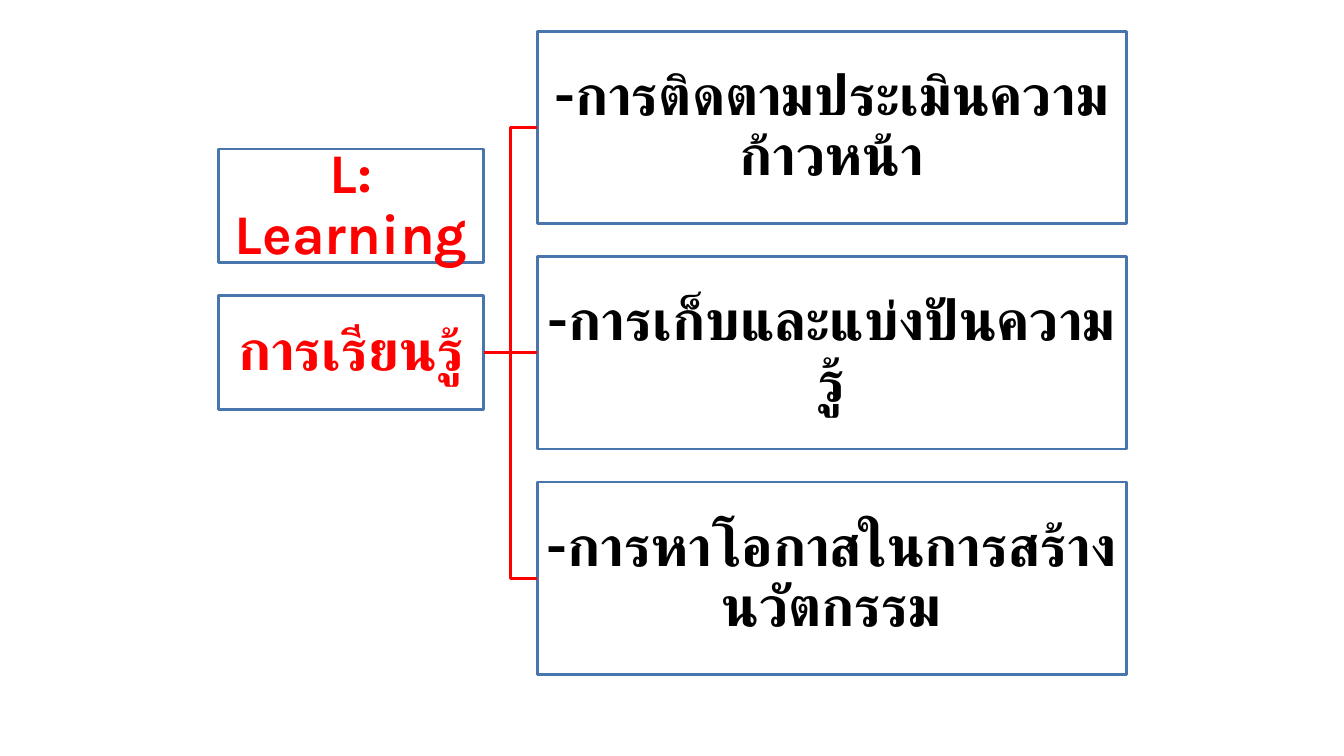
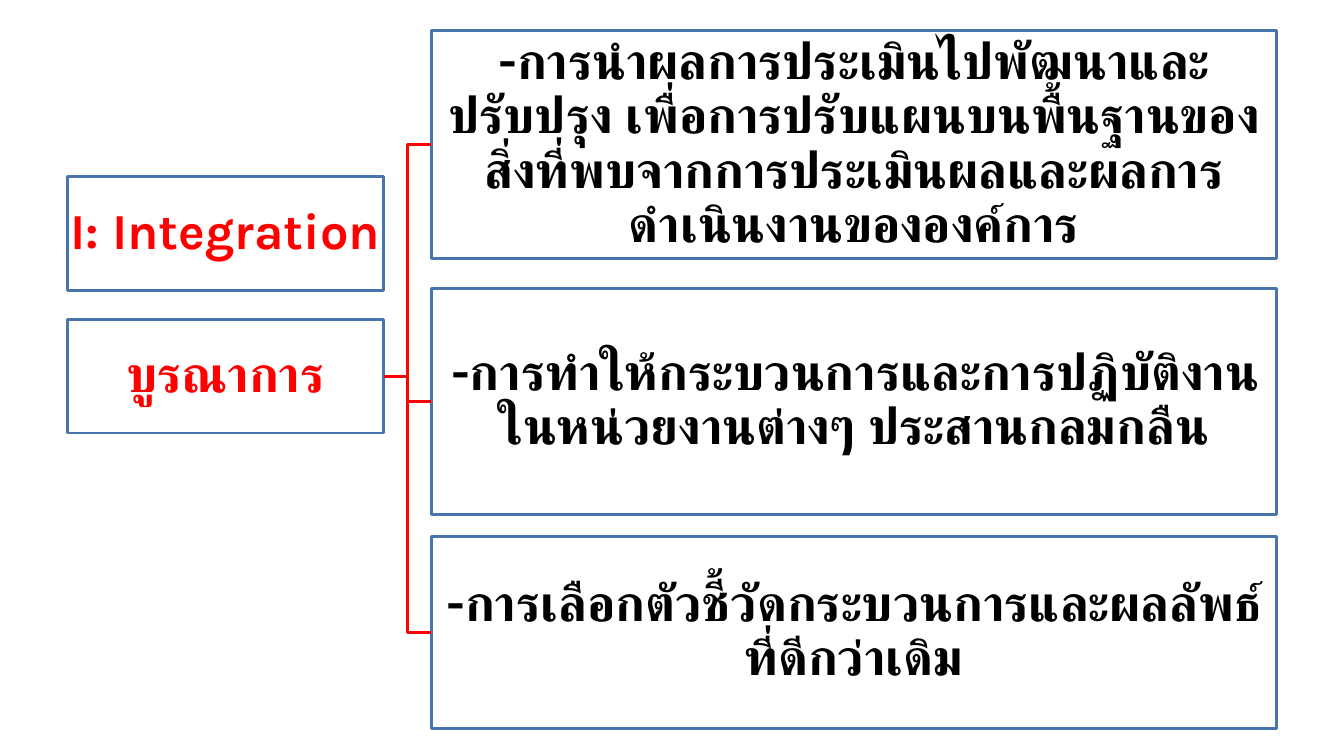
"""Build two slides that branch a learning and an integration heading into their practices."""
from dataclasses import dataclass

from lxml import etree
from pptx import Presentation
from pptx.dml.color import RGBColor
from pptx.enum.lang import MSO_LANGUAGE_ID
from pptx.enum.shapes import MSO_CONNECTOR, MSO_SHAPE
from pptx.enum.text import MSO_ANCHOR, PP_ALIGN
from pptx.oxml.ns import qn
from pptx.util import Pt


@dataclass(frozen=True)
class Theme:
    font: str = "Karla"
    paper: RGBColor = RGBColor(0xFF, 0xFF, 0xFF)
    border: RGBColor = RGBColor(0x48, 0x75, 0xAC)
    accent: RGBColor = RGBColor(0xFF, 0x00, 0x00)
    ink: RGBColor = RGBColor(0x00, 0x00, 0x00)
    large: int = 40
    medium: int = 36
    stroke: int = 2
    inset: int = 2


THEME = Theme()
HEADING_HEIGHT = 81.4
RIGHT_SITE, LEFT_SITE = 3, 1

SLIDES = [
    {
        "size": THEME.large,
        "heading_left": 156.2,
        "heading_width": 189.4,
        "headings": [(106.4, "L: Learning"), (211.3, "การเรียนรู้")],
        "practice_left": 383.8,
        "practice_width": 420.6,
        "practices": [
            (22.25, 137.5, "-การติดตามประเมินความก้าวหน้า"),
            (183.25, 137.5, "-การเก็บและแบ่งปันความรู้"),
            (344.25, 137.5, "-การหาโอกาสในการสร้างนวัตกรรม"),
        ],
    },
    {
        "size": THEME.medium,
        "heading_left": 48,
        "heading_width": 226,
        "headings": [(126, "I: Integration"), (228, "บูรณาการ")],
        "practice_left": 308,
        "practice_width": 604,
        "practices": [
            (21.6, 163.4, "-การนำผลการประเมินไปพัฒนาและปรับปรุง เพื่อการปรับแผนบนพื้นฐานของ"
                          "สิ่งที่พบจากการประเมินผลและผลการดำเนินงานขององค์การ"),
            (206, 161.4, "-การทำให้กระบวนการและการปฏิบัติงานในหน่วยงานต่างๆ ประสานกลมกลืน"),
            (383, 137.5, "-การเลือกตัวชี้วัดกระบวนการและผลลัพธ์ที่ดีกว่าเดิม"),
        ],
    },
]


def add_box(page, left, top, width, height, text, size, color):
    box = page.shapes.add_shape(MSO_SHAPE.RECTANGLE, Pt(left), Pt(top), Pt(width), Pt(height))
    box.shadow.inherit = False
    box.fill.solid()
    box.fill.fore_color.rgb = THEME.paper
    box.line.color.rgb = THEME.border
    box.line.width = Pt(THEME.stroke)
    frame = box.text_frame
    frame_format = {"word_wrap": True, "vertical_anchor": MSO_ANCHOR.MIDDLE}
    for side in ("left", "top", "right", "bottom"):
        frame_format[f"margin_{side}"] = Pt(THEME.inset)
    for name, value in frame_format.items():
        setattr(frame, name, value)
    para = frame.paragraphs[0]
    para.alignment = PP_ALIGN.CENTER
    para.line_spacing = 0.9
    span = para.add_run()
    span.text = text
    span_format = {
        "name": THEME.font,
        "size": Pt(size),
        "bold": True,
        "language_id": MSO_LANGUAGE_ID.THAI,
    }
    for name, value in span_format.items():
        setattr(span.font, name, value)
    span.font.color.rgb = color
    etree.SubElement(span._r.get_or_add_rPr(), qn("a:cs"), typeface=THEME.font)
    return box


def add_branch(page, heading, practice):
    branch = page.shapes.add_connector(MSO_CONNECTOR.ELBOW, 0, 0, 0, 0)
    branch.begin_connect(heading, RIGHT_SITE)
    branch.end_connect(practice, LEFT_SITE)
    branch.line.color.rgb = THEME.accent
    branch.line.width = Pt(THEME.stroke)
    etree.SubElement(branch._element.spPr, qn("a:effectLst"))


deck = Presentation()
deck.slide_width, deck.slide_height = Pt(960), Pt(540)
blank = deck.slide_layouts[6]

for content in SLIDES:
    page = deck.slides.add_slide(blank)
    for top, text in content["headings"]:
        heading = add_box(page, content["heading_left"], top, content["heading_width"],
                          HEADING_HEIGHT, text, content["size"], THEME.accent)
    for top, height, text in content["practices"]:
        practice = add_box(page, content["practice_left"], top, content["practice_width"],
                           height, text, content["size"], THEME.ink)
        add_branch(page, heading, practice)

deck.save("out.pptx")
